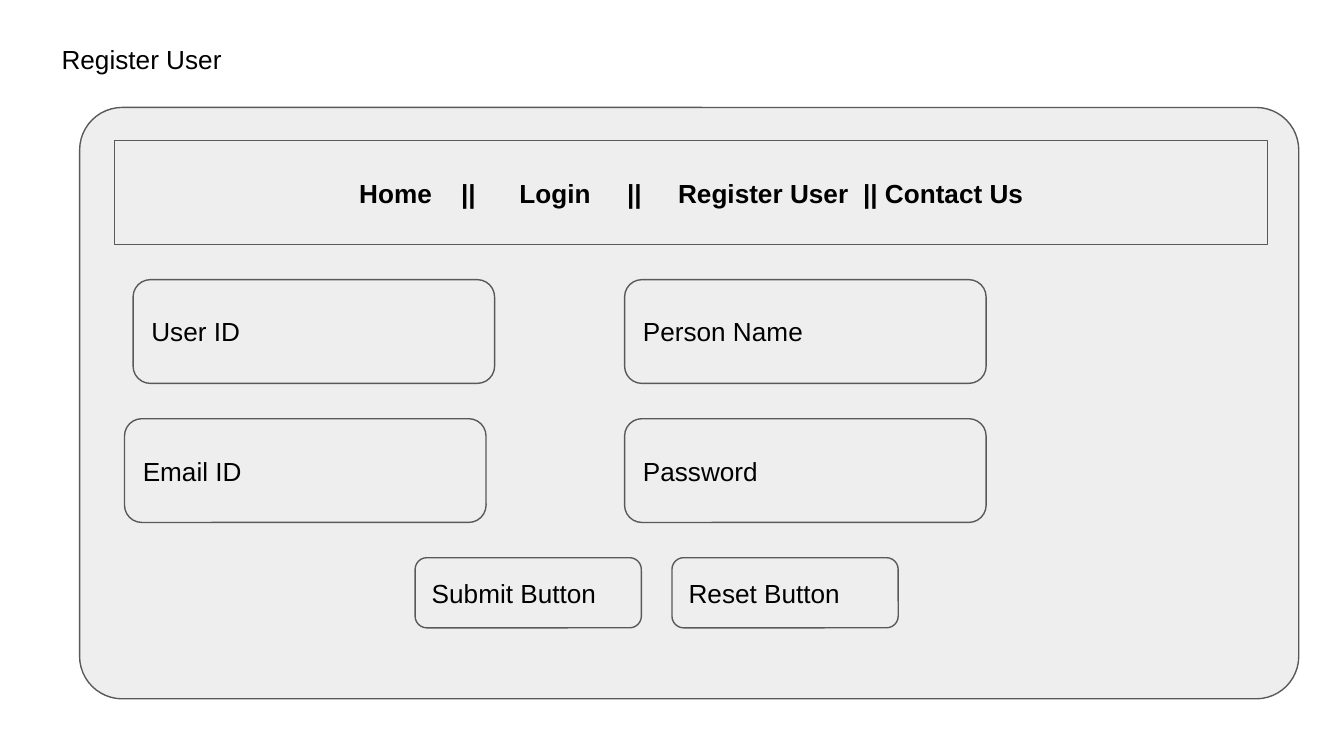
from pptx import Presentation
from pptx.dml.color import RGBColor
from pptx.enum.shapes import MSO_SHAPE
from pptx.enum.text import MSO_ANCHOR, PP_ALIGN
from pptx.util import Pt

RECT = MSO_SHAPE.RECTANGLE
ROUND = MSO_SHAPE.ROUNDED_RECTANGLE
LEFT, CENTER = PP_ALIGN.LEFT, PP_ALIGN.CENTER
TOP, MIDDLE = MSO_ANCHOR.TOP, MSO_ANCHOR.MIDDLE


def color(value):
    """Turn a hex string into a colour."""
    return RGBColor.from_string(value)


class Wireframe:
    """Holds the style and the current slide."""

    font, size, inset = "Arial", 14, 7.2
    ink, fill, line = "000000", "EEEEEE", "595959"

    def __init__(self, page):
        """Keep the slide that elements are added to."""
        self.page = page

    def add_text(self, box, spans, align=LEFT, anchor=MIDDLE, bold=False):
        """Fill a box with one paragraph of (text, extra spacing) spans."""
        frame = box.text_frame
        frame.word_wrap = True
        frame.vertical_anchor = anchor
        frame.margin_left = frame.margin_right = Pt(self.inset)
        frame.margin_top = frame.margin_bottom = Pt(self.inset)
        para = frame.paragraphs[0]
        para.alignment = align
        for text, spacing in spans:
            span = para.add_run()
            span.text = text
            span.font.name = self.font
            span.font.size = Pt(self.size)
            span.font.bold = bold
            span.font.color.rgb = color(self.ink)
            if spacing:
                span._r.get_or_add_rPr().set("spc", str(round(spacing * 100)))

    def label(self, text, left, top, width, height):
        """Add plain text."""
        box = self.page.shapes.add_textbox(Pt(left), Pt(top), Pt(width), Pt(height))
        self.add_text(box, [(text, 0)], anchor=TOP)

    def panel(self, left, top, width, height, kind=ROUND, corner=0.167):
        """Add an outlined shape and return it."""
        box = self.page.shapes.add_shape(kind, Pt(left), Pt(top), Pt(width), Pt(height))
        if kind == ROUND:
            box.adjustments[0] = corner
        box.shadow.inherit = False
        box.fill.solid()
        box.fill.fore_color.rgb = color(self.fill)
        box.line.color.rgb = color(self.line)
        box.line.width = Pt(0.75)
        return box

    def field(self, text, left, top, width, height):
        """Add a rounded form element with its caption."""
        self.add_text(self.panel(left, top, width, height), [(text, 0)])

    def menu(self, items, left, top, width, height):
        """Add a bar of (word, gap after it in spaces) items."""
        space = self.size * 0.278
        spans = []
        for word, gap in items:
            spans.append((word, 0))
            if gap:
                spans.append((" ", (gap - 1) * space))
        bar = self.panel(left, top, width, height, RECT)
        self.add_text(bar, spans, CENTER, bold=True)


deck = Presentation()
deck.slide_width, deck.slide_height = Pt(720), Pt(405)
form = Wireframe(deck.slides.add_slide(deck.slide_layouts[6]))

form.label("Register User", 25.9, 15.9, 676.8, 31.7)
form.panel(42.7, 57.6, 653.1, 316.8, corner=0.072)
form.menu([("Home", 4), ("||", 6), ("Login", 5), ("||", 5),
           ("Register User", 2), ("||", 1), ("Contact Us", 0)],
          61.4, 75.4, 617.8, 55.6)

FIELD_ROWS = [(149.8, [("User ID", 71.3), ("Person Name", 334.6)]),
              (224.3, [("Email ID", 66.7), ("Password", 334.6)])]
for top, fields in FIELD_ROWS:
    for caption, left in fields:
        form.field(caption, left, top, 193.7, 55.6)

for index, caption in enumerate(["Submit Button", "Reset Button"]):
    form.field(caption, 222.4 + index * 137.6, 298.8, 121.2, 37.6)

deck.save("out.pptx")
